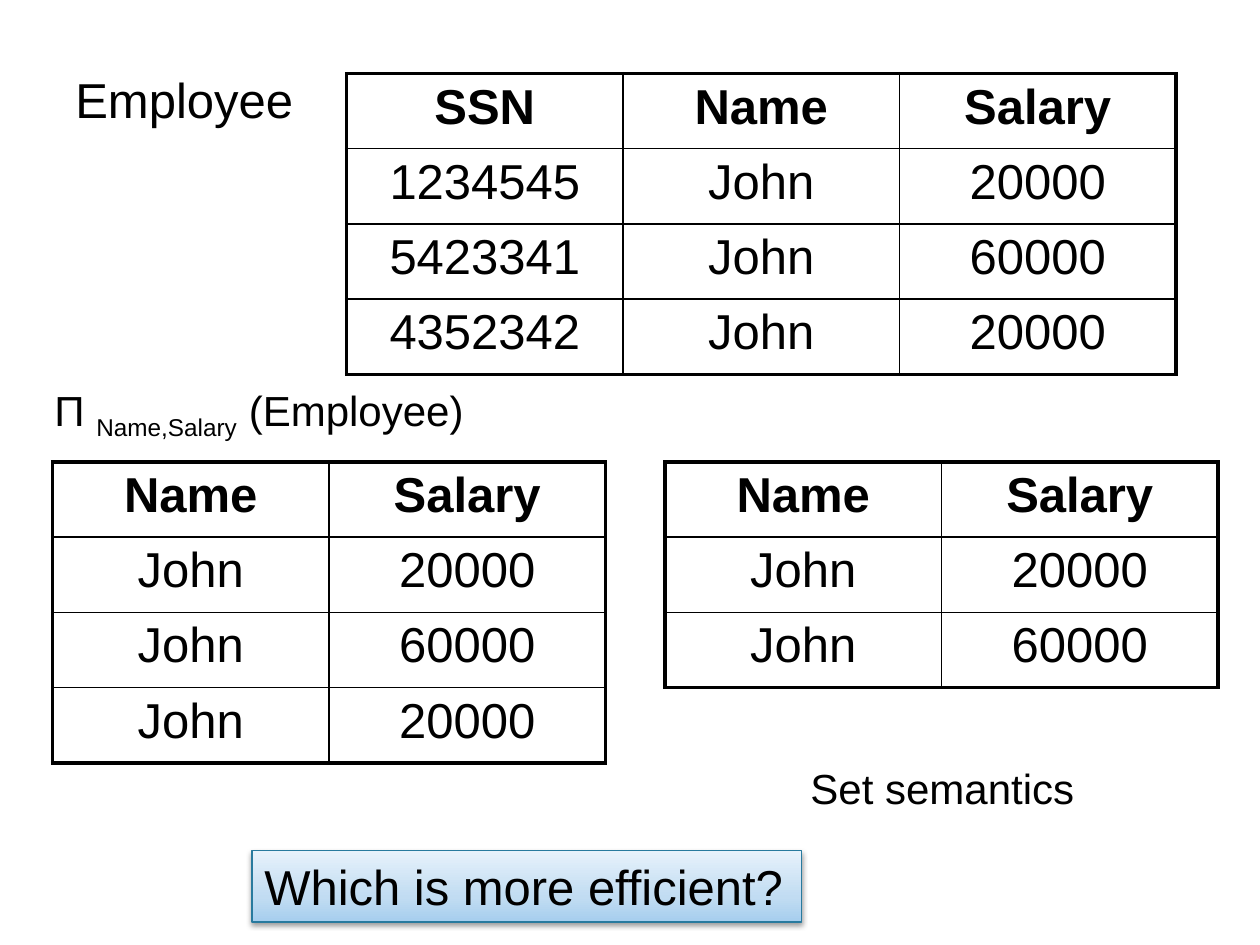
import pptx
import pptx.util
import pptx.dml.color
import pptx.enum.shapes
import pptx.enum.text
import pptx.oxml
import pptx.oxml.ns
import copy
from lxml import etree

Pt = pptx.util.Pt
RGB = pptx.dml.color.RGBColor.from_string
qn = pptx.oxml.ns.qn
ALIGN = pptx.enum.text.PP_ALIGN

COLORS = {
    "ink": "000000",
    "outline": "287A9E",
    "deep": "A6CEEE",
    "middle": "C1DCF2",
    "pale": "E7F2FB",
}
FONT = "Arial"
COL_W, ROW_H = 158, 43
OUTER, INNER = 2.25, 1


def add_text(p, text, size=28, bold=False, align=ALIGN.LEFT, baseline=0):
    p.alignment = align
    r = p.add_run()
    r.text = text
    r.font.name = FONT
    r.font.size = Pt(size)
    r.font.bold = bold
    r.font.color.rgb = RGB(COLORS["ink"])
    if baseline:
        r._r.get_or_add_rPr().set("baseline", str(baseline * 1000))


def fit_to_text(tf):
    tf.word_wrap = False
    tf.auto_size = pptx.enum.text.MSO_AUTO_SIZE.SHAPE_TO_FIT_TEXT
    return tf.paragraphs[0]


def label(slide, x, y, w, h, parts, size):
    """Place a one-line text box; parts are (text, baseline percent) pairs."""
    sp = slide.shapes.add_textbox(Pt(x), Pt(y), Pt(w), Pt(h))
    p = fit_to_text(sp.text_frame)
    for text, baseline in parts:
        add_text(p, text, size=size, baseline=baseline)


def set_borders(cell, widths):
    """Draw the cell's sides, given as widths for L, R, T, B."""
    tcPr = cell._tc.get_or_add_tcPr()
    for i, (side, width) in enumerate(widths.items()):
        ln = etree.Element(qn(f"a:ln{side}"), w=str(Pt(width)))
        fill = etree.SubElement(ln, qn("a:solidFill"))
        etree.SubElement(fill, qn("a:srgbClr"), val=COLORS["ink"])
        tcPr.insert(i, ln)


def relation(slide, x, y, rows):
    """Place a table with a bold header, thick frame and thin inner lines."""
    n_rows, n_cols = len(rows), len(rows[0])
    frame = slide.shapes.add_table(n_rows, n_cols, Pt(x), Pt(y),
                                   Pt(n_cols * COL_W), Pt(n_rows * ROW_H))
    table = frame.table
    table.first_row = table.horz_banding = False
    for col in table.columns:
        col.width = Pt(COL_W)
    for i, row in enumerate(rows):
        table.rows[i].height = Pt(ROW_H)
        for j, text in enumerate(row):
            cell = table.cell(i, j)
            cell.fill.background()
            set_borders(cell, {
                "L": OUTER if j == 0 else INNER,
                "R": OUTER if j == n_cols - 1 else INNER,
                "T": OUTER if i == 0 else INNER,
                "B": OUTER if i == n_rows - 1 else INNER,
            })
            add_text(cell.text_frame.paragraphs[0], text,
                     bold=i == 0, align=ALIGN.CENTER)


def fill_gradient(sp, stops, angle):
    """Fill with (percent, colour) stops, angle counted anticlockwise."""
    sp.fill.gradient()
    sp.fill.gradient_angle = angle
    gs_lst = sp._element.spPr.find(qn("a:gradFill")).find(qn("a:gsLst"))
    while len(gs_lst) < len(stops):
        gs_lst.append(copy.deepcopy(gs_lst[0]))
    for stop, (percent, color) in zip(sp.fill.gradient_stops, stops):
        stop.position = percent / 100
        stop.color.rgb = RGB(color)


def add_shadow(sp, blur, dist, opacity):
    sp.shadow.inherit = False
    effects = sp._element.spPr.find(qn("a:effectLst"))
    shadow = etree.SubElement(effects, qn("a:outerShdw"), blurRad=str(Pt(blur)),
                              dist=str(Pt(dist)), dir="5400000", rotWithShape="0")
    color = etree.SubElement(shadow, qn("a:srgbClr"), val=COLORS["ink"])
    etree.SubElement(color, qn("a:alpha"), val=str(opacity * 1000))


def question(slide, x, y, w, h, text):
    sp = slide.shapes.add_shape(pptx.enum.shapes.MSO_SHAPE.RECTANGLE,
                                Pt(x), Pt(y), Pt(w), Pt(h))
    fill_gradient(sp, [(0, COLORS["deep"]), (35, COLORS["middle"]),
                       (100, COLORS["pale"])], angle=90)
    sp.line.color.rgb = RGB(COLORS["outline"])
    sp.line.width = Pt(0.75)
    add_shadow(sp, blur=3.1, dist=1.6, opacity=38)
    add_text(fit_to_text(sp.text_frame), text)


def main():
    prs = pptx.Presentation()
    prs.slide_width, prs.slide_height = Pt(720), Pt(540)
    slide = prs.slides.add_slide(prs.slide_layouts[6])

    employees = [
        ("SSN", "Name", "Salary"),
        ("1234545", "John", "20000"),
        ("5423341", "John", "60000"),
        ("4352342", "John", "20000"),
    ]
    bag = [row[1:] for row in employees]
    distinct = list(dict.fromkeys(bag))

    label(slide, 24, 216, 263.5, 36.5,
          [("Π ", 0), ("Name,Salary", -25), (" (Employee)", 0)], size=24)
    relation(slide, 198, 42, employees)
    relation(slide, 30, 264, bag)
    label(slide, 36, 36, 140.5, 41, [("Employee", 0)], size=28)
    relation(slide, 380, 264, distinct)
    label(slide, 456, 432, 167, 36, [("Set semantics", 0)], size=24)
    question(slide, 144, 486, 314, 41, "Which is more efficient?")
    prs.save("out.pptx")


if __name__ == "__main__":
    main()
